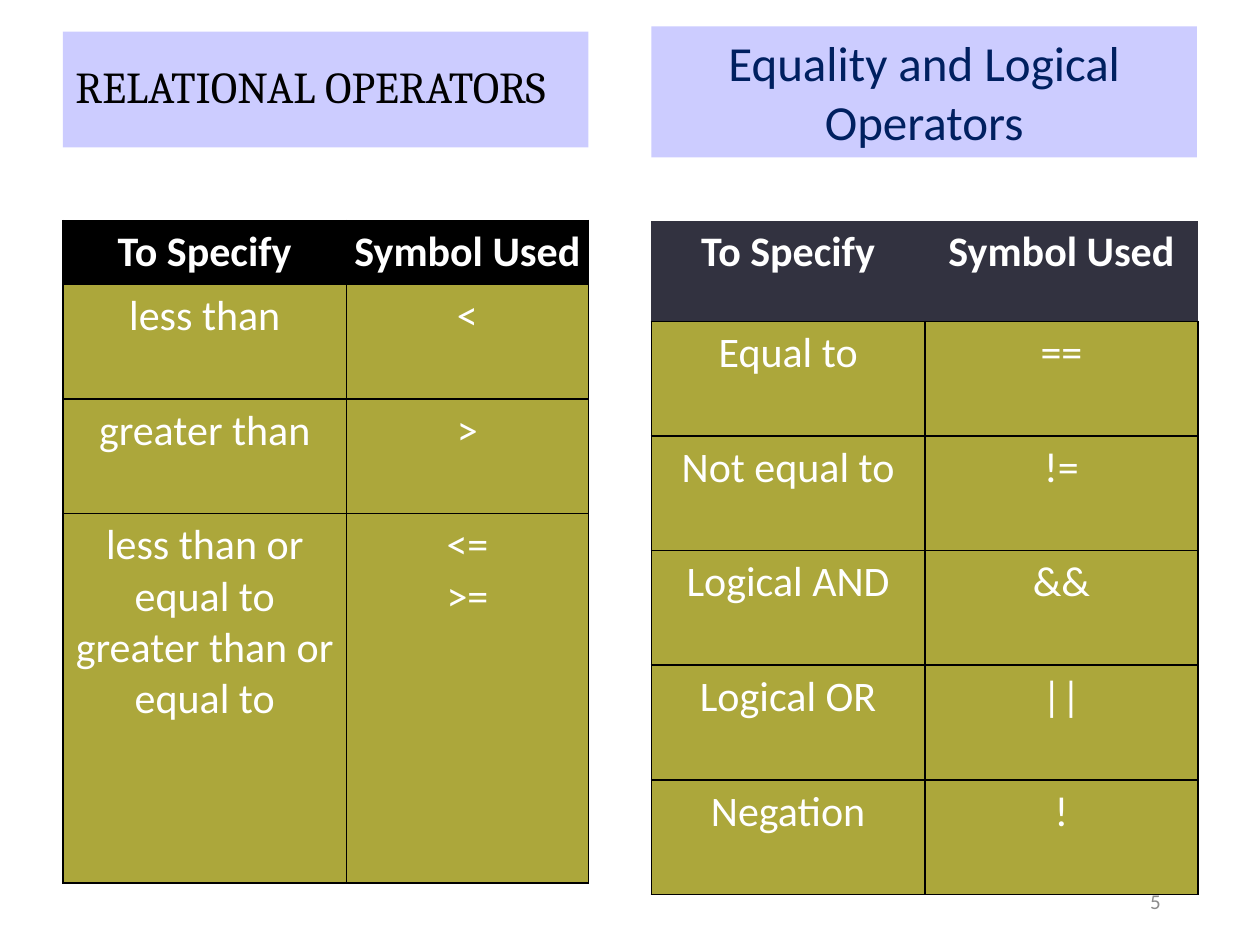
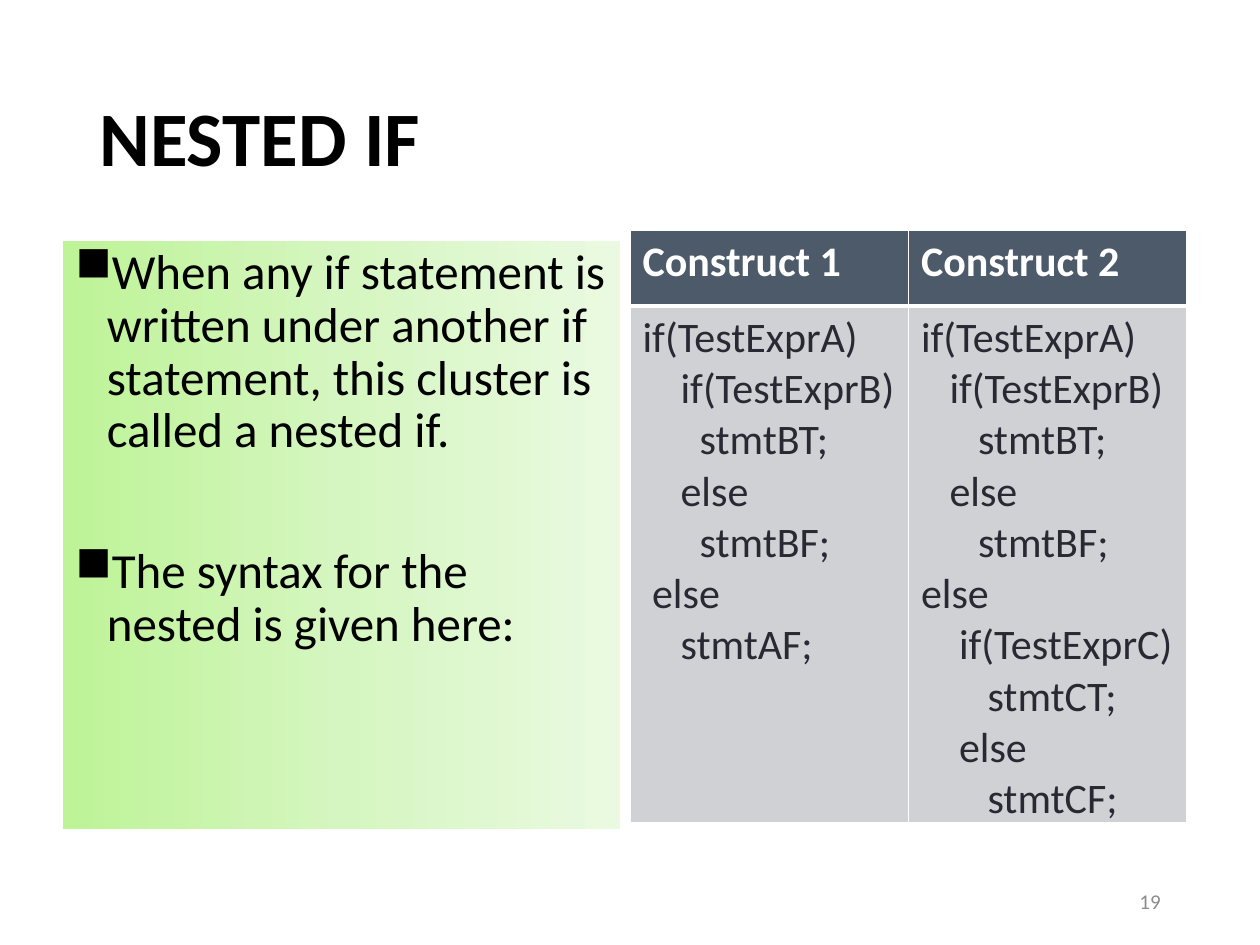
from copy import deepcopy
from dataclasses import dataclass
from typing import NamedTuple

from lxml.etree import SubElement
from pptx import Presentation
from pptx.dml.color import RGBColor
from pptx.enum.shapes import MSO_SHAPE as Preset
from pptx.enum.text import MSO_ANCHOR as Anchor, PP_ALIGN as Align
from pptx.oxml.ns import qn
from pptx.util import Inches, Pt

BLACK, WHITE, NAVY, GRAY = "000000", "FFFFFF", "002060", "8C8C8C"
LAVENDER, OLIVE, CHARCOAL = "CCCCFF", "ACA73B", "323240"
SLATE, PALE_GRAY, CODE_INK = "4C5A6A", "D0D1D4", "292934"
GREENS = ("BEF397", "D5F6C0", "EAFAE0")
BODY_FONT, HEADING_FONT = "Calibri", "Cambria"
TABLE_SIZE = 24
TABLE_TOP = 1.75


class Box(NamedTuple):
    left: float
    top: float
    width: float
    height: float

    def lengths(self) -> list:
        return [Inches(value) for value in self]


class Borders(NamedTuple):
    """Line widths in points; zero leaves a side without a line."""
    left: float = 1
    right: float = 1
    top: float = 1
    bottom: float = 1


@dataclass
class TextStyle:
    size: float
    color: str = BLACK
    font: str = BODY_FONT
    bold: bool = False
    align: Align = Align.LEFT
    line_spacing: float = 1.0


@dataclass
class RowStyle:
    fill: str
    text: TextStyle
    line_color: str = BLACK
    borders: Borders = Borders()


@dataclass
class TableSpec:
    left: float
    top: float
    columns: list[float]
    heights: list[float]
    rows: list[tuple[str, str]]
    header: RowStyle
    body: RowStyle
    side_inset: float = 0.1


def rgb(color: str) -> RGBColor:
    return RGBColor.from_string(color)


def write(frame, text: str, style: TextStyle) -> None:
    """Write one paragraph for each line of text."""
    frame.word_wrap = True
    for index, line in enumerate(text.split("\n")):
        paragraph = frame.paragraphs[0] if index == 0 else frame.add_paragraph()
        paragraph.text = line
        paragraph.alignment = style.align
        paragraph.line_spacing = style.line_spacing
        font = paragraph.font
        font.name, font.size, font.bold = style.font, Pt(style.size), style.bold
        font.color.rgb = rgb(style.color)


def add_text(slide, box: Box, text: str, style: TextStyle,
             anchor: Anchor = Anchor.MIDDLE) -> None:
    frame = slide.shapes.add_textbox(*box.lengths()).text_frame
    frame.vertical_anchor = anchor
    write(frame, text, style)


def add_panel(slide, box: Box):
    shape = slide.shapes.add_shape(Preset.RECTANGLE, *box.lengths())
    shape.shadow.inherit = False
    shape.line.fill.background()
    return shape


def add_banner(slide, box: Box, text: str, style: TextStyle, anchor: Anchor) -> None:
    banner = add_panel(slide, box)
    banner.fill.solid()
    banner.fill.fore_color.rgb = rgb(LAVENDER)
    banner.text_frame.vertical_anchor = anchor
    write(banner.text_frame, text, style)


def set_borders(cell, borders: Borders, color: str) -> None:
    properties = cell._tc.get_or_add_tcPr()
    for side, width in zip("LRTB", borders):
        line = SubElement(properties, qn(f"a:ln{side}"), w=str(Pt(width)))
        if width:
            fill = SubElement(line, qn("a:solidFill"))
            SubElement(fill, qn("a:srgbClr"), val=color)
        else:
            SubElement(line, qn("a:noFill"))


def add_table(slide, spec: TableSpec) -> None:
    box = Box(spec.left, spec.top, sum(spec.columns), sum(spec.heights))
    table = slide.shapes.add_table(
        len(spec.rows), len(spec.columns), *box.lengths()).table
    table.first_row = table.horz_banding = False
    for column, width in zip(table.columns, spec.columns):
        column.width = Inches(width)
    for index, (row, height, texts) in enumerate(
            zip(table.rows, spec.heights, spec.rows)):
        row.height = Inches(height)
        style = spec.body if index else spec.header
        for cell, text in zip(row.cells, texts):
            cell.margin_left = cell.margin_right = Inches(spec.side_inset)
            set_borders(cell, style.borders, style.line_color)
            cell.fill.solid()
            cell.fill.fore_color.rgb = rgb(style.fill)
            write(cell.text_frame, text, style.text)


def fill_gradient(shape, colors: tuple[str, str, str]) -> None:
    """Fill from left to right with three evenly spaced colours."""
    shape.fill.gradient()
    shape.fill.gradient_angle = 0
    stop_list = shape._element.spPr.find(".//" + qn("a:gsLst"))
    stop_list.insert(1, deepcopy(stop_list[0]))
    for index, (stop, color) in enumerate(zip(shape.fill.gradient_stops, colors)):
        stop.position = index / 2
        stop.color.rgb = rgb(color)


def add_bullets(frame, items: list[str], style: TextStyle, gap: float) -> None:
    indent = Inches(0.25)
    for index in range(len(items)):
        paragraph = frame.paragraphs[0] if index == 0 else frame.add_paragraph()
        properties = paragraph._p.get_or_add_pPr()
        properties.set("marL", str(indent))
        properties.set("indent", str(-indent))
        SubElement(properties, qn("a:buChar"), char="■")
        if index:
            paragraph.space_before = Pt(gap)
    for paragraph, item in zip(frame.paragraphs, items):
        paragraph.text = item
        paragraph.alignment = style.align
        paragraph.line_spacing = style.line_spacing
        font = paragraph.font
        font.name, font.size = style.font, Pt(style.size)
        font.color.rgb = rgb(style.color)


def add_page_number(slide, number: int) -> None:
    add_text(slide, Box(7.06, 6.95, 2.25, 0.4), str(number),
             TextStyle(12, GRAY, align=Align.RIGHT))


def build_operators(slide) -> None:
    header_text = TextStyle(TABLE_SIZE, WHITE, bold=True, align=Align.CENTER)
    body = RowStyle(OLIVE, TextStyle(TABLE_SIZE, WHITE, align=Align.CENTER))
    headings = ("To Specify", "Symbol Used")

    add_banner(slide, Box(0.5, 0.25, 4.17, 0.92), "RELATIONAL OPERATORS",
               TextStyle(25.2, font=HEADING_FONT, line_spacing=0.9), Anchor.MIDDLE)
    add_table(slide, TableSpec(
        0.5, TABLE_TOP, [2.25, 1.92], [0.5, 0.91, 0.91, 2.93],
        [headings,
         ("less than", "<"),
         ("greater than", ">"),
         ("less than or equal to\ngreater than or equal to", "<=\n>=")],
        RowStyle(BLACK, header_text), body, side_inset=0.02))
    add_table(slide, TableSpec(
        5.17, TABLE_TOP, [2.17] * 2, [0.8] + [0.91] * 5,
        [headings,
         ("Equal to", "=="),
         ("Not equal to", "!="),
         ("Logical AND", "&&"),
         ("Logical OR", "||"),
         ("Negation", "!")],
        RowStyle(CHARCOAL, header_text, borders=Borders(0, 0, 0, 1)), body))
    add_page_number(slide, 5)
    add_banner(slide, Box(5.17, 0.21, 4.33, 1.04), "Equality and Logical Operators",
               TextStyle(28, NAVY, align=Align.CENTER), Anchor.TOP)


CONSTRUCT_1 = """if(TestExprA)
    if(TestExprB)
      stmtBT;
    else
      stmtBF;
 else
    stmtAF;"""

CONSTRUCT_2 = """if(TestExprA)
   if(TestExprB)
      stmtBT;
   else
      stmtBF;
else
    if(TestExprC)
       stmtCT;
    else
       stmtCF;"""


def build_nested_if(slide) -> None:
    add_text(slide, Box(0.69, 0.4, 8.62, 1.45), "NESTED IF",
             TextStyle(44, bold=True, line_spacing=0.9))
    panel = add_panel(slide, Box(0.5, 1.91, 4.42, 4.67))
    fill_gradient(panel, GREENS)
    panel.text_frame.vertical_anchor = Anchor.TOP
    panel.text_frame.word_wrap = True
    add_bullets(panel.text_frame, [
        "When any if statement is written under another if statement, "
        "this cluster is called a nested if.",
        "The syntax for the nested is given here:",
    ], TextStyle(28, line_spacing=0.9), gap=50)
    add_table(slide, TableSpec(
        5, 1.83, [2.21] * 2, [0.6, 4.1],
        [("Construct 1", "Construct 2"), (CONSTRUCT_1, CONSTRUCT_2)],
        RowStyle(SLATE, TextStyle(TABLE_SIZE, WHITE, bold=True), WHITE,
                 Borders(bottom=3)),
        RowStyle(PALE_GRAY, TextStyle(TABLE_SIZE, CODE_INK), WHITE, Borders(top=3))))
    add_page_number(slide, 19)


def main() -> None:
    presentation = Presentation()
    presentation.slide_width, presentation.slide_height = Inches(10), Inches(7.5)
    blank = presentation.slide_layouts[6]
    for build in (build_operators, build_nested_if):
        build(presentation.slides.add_slide(blank))
    presentation.save("out.pptx")


if __name__ == "__main__":
    main()
